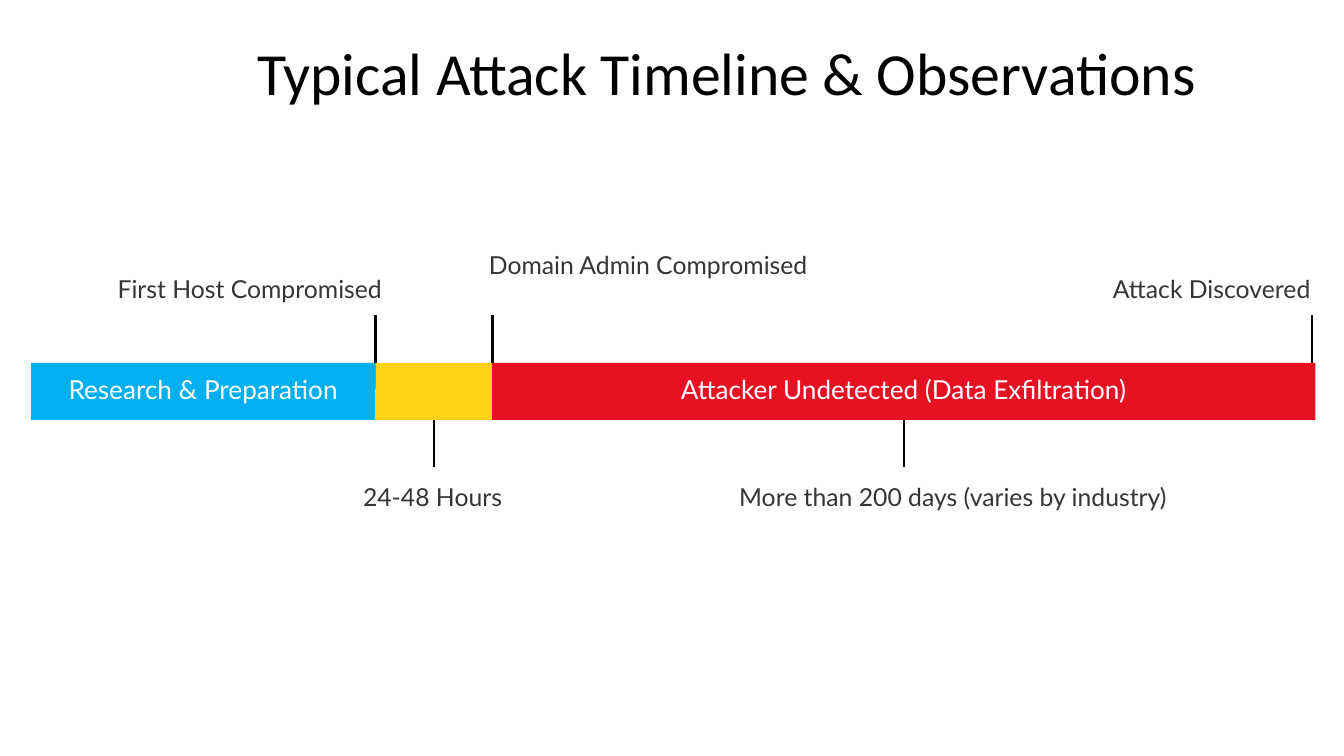
import dataclasses

import lxml.etree
import pptx
import pptx.dml.color
import pptx.enum.shapes
import pptx.enum.text
import pptx.oxml.ns
import pptx.util

ALIGN = pptx.enum.text.PP_ALIGN
ANCHOR = pptx.enum.text.MSO_ANCHOR


@dataclasses.dataclass(frozen=True)
class Theme:
    title_font: str = "Calibri"
    body_font: str = "Lato"
    title_size: float = 51.2
    bar_size: float = 22.4
    label_size: float = 21.2
    line_width: float = 2.25
    black: str = "000000"
    gray: str = "353535"
    white: str = "FFFFFF"
    blue: str = "00B0F0"
    yellow: str = "FCD116"
    red: str = "E81123"


class TimelineSlide:
    COLUMNS, ROWS = 16, 9

    def __init__(self, prs, theme):
        self.theme = theme
        self.column = prs.slide_width / self.COLUMNS
        self.row = prs.slide_height / self.ROWS
        self.s = prs.slides.add_slide(prs.slide_layouts[5])

    def x(self, columns):
        return round(columns * self.column)

    def y(self, rows):
        return round(rows * self.row)

    def box(self, left, top, width, height):
        return self.x(left), self.y(top), self.x(width), self.y(height)

    def color(self, value):
        return pptx.dml.color.RGBColor.from_string(value)

    def add_text(self, sp, text, font, size, color, align, anchor, insets):
        tf = sp.text_frame
        tf.word_wrap = True
        tf.auto_size = pptx.enum.text.MSO_AUTO_SIZE.NONE
        tf.vertical_anchor = anchor
        tf.margin_left = tf.margin_right = self.x(insets[0])
        tf.margin_top = tf.margin_bottom = self.y(insets[1])
        p = tf.paragraphs[0]
        p.alignment = align
        p.line_spacing = 0.9
        r = p.add_run()
        r.text = text
        r.font.name = font
        r.font.size = pptx.util.Pt(size)
        r.font.color.rgb = self.color(color)

    def title(self, text, *area):
        sp = self.s.shapes.title
        sp.left, sp.top, sp.width, sp.height = self.box(*area)
        self.add_text(sp, text, self.theme.title_font, self.theme.title_size,
                      self.theme.black, ALIGN.LEFT, ANCHOR.TOP, (0.1, 0.05))

    def tick(self, column, top, height):
        line = self.s.shapes.add_connector(
            pptx.enum.shapes.MSO_CONNECTOR.STRAIGHT,
            self.x(column), self.y(top), self.x(column), self.y(top + height))
        line.line.color.rgb = self.color(self.theme.black)
        line.line.width = pptx.util.Pt(self.theme.line_width)
        lxml.etree.SubElement(line._element.spPr, pptx.oxml.ns.qn("a:effectLst"))

    def label(self, text, align, *area):
        sp = self.s.shapes.add_textbox(*self.box(*area))
        self.add_text(sp, text, self.theme.body_font, self.theme.label_size,
                      self.theme.gray, align, ANCHOR.TOP, (0.24, 0.19))

    def bar(self, text, fill, *area):
        sp = self.s.shapes.add_shape(
            pptx.enum.shapes.MSO_SHAPE.RECTANGLE, *self.box(*area))
        sp.shadow.inherit = False
        sp.fill.solid()
        sp.fill.fore_color.rgb = self.color(fill)
        sp.line.fill.background()
        if text:
            self.add_text(sp, text, self.theme.body_font, self.theme.bar_size,
                          self.theme.white, ALIGN.CENTER, ANCHOR.MIDDLE, (0.12, 0.19))


def main():
    prs = pptx.Presentation()
    prs.slide_width = pptx.util.Inches(16)
    prs.slide_height = pptx.util.Inches(9)
    theme = Theme()
    slide = TimelineSlide(prs, theme)
    slide.title("Typical Attack Timeline & Observations", 2.96, 0.47, 12.22, 1.5)

    start, bar_top, height, tick_height = 0.37, 4.32, 0.68, 0.88
    host, admin, end = 4.47, 5.86, 15.66

    milestones = [
        ("First Host Compromised", host, 1.16, 3.11, 3.7),
        ("Domain Admin Compromised", admin, 5.58, 2.82, 4.33),
        ("Attack Discovered", end - 0.04, 13.01, 3.11, 2.84),
    ]
    for text, column, left, top, width in milestones:
        slide.tick(column, 3.75, tick_height)
        slide.label(text, ALIGN.LEFT, left, top, width, height)

    durations = [
        ("24-48 Hours", host, admin, 3.3, 3.7),
        ("More than 200 days (varies by industry)", admin, end, 8.2, 6.29),
    ]
    for text, first, last, left, width in durations:
        slide.tick((first + last) / 2, 4.68, tick_height)
        slide.label(text, ALIGN.CENTER, left, 5.58, width, height)

    phases = [
        ("Research & Preparation", theme.blue, start, host),
        ("", theme.yellow, host, admin),
        ("Attacker Undetected (Data Exfiltration)", theme.red, admin, end),
    ]
    for text, fill, first, last in phases:
        slide.bar(text, fill, first, bar_top, last - first, height)

    prs.save("out.pptx")


if __name__ == "__main__":
    main()
